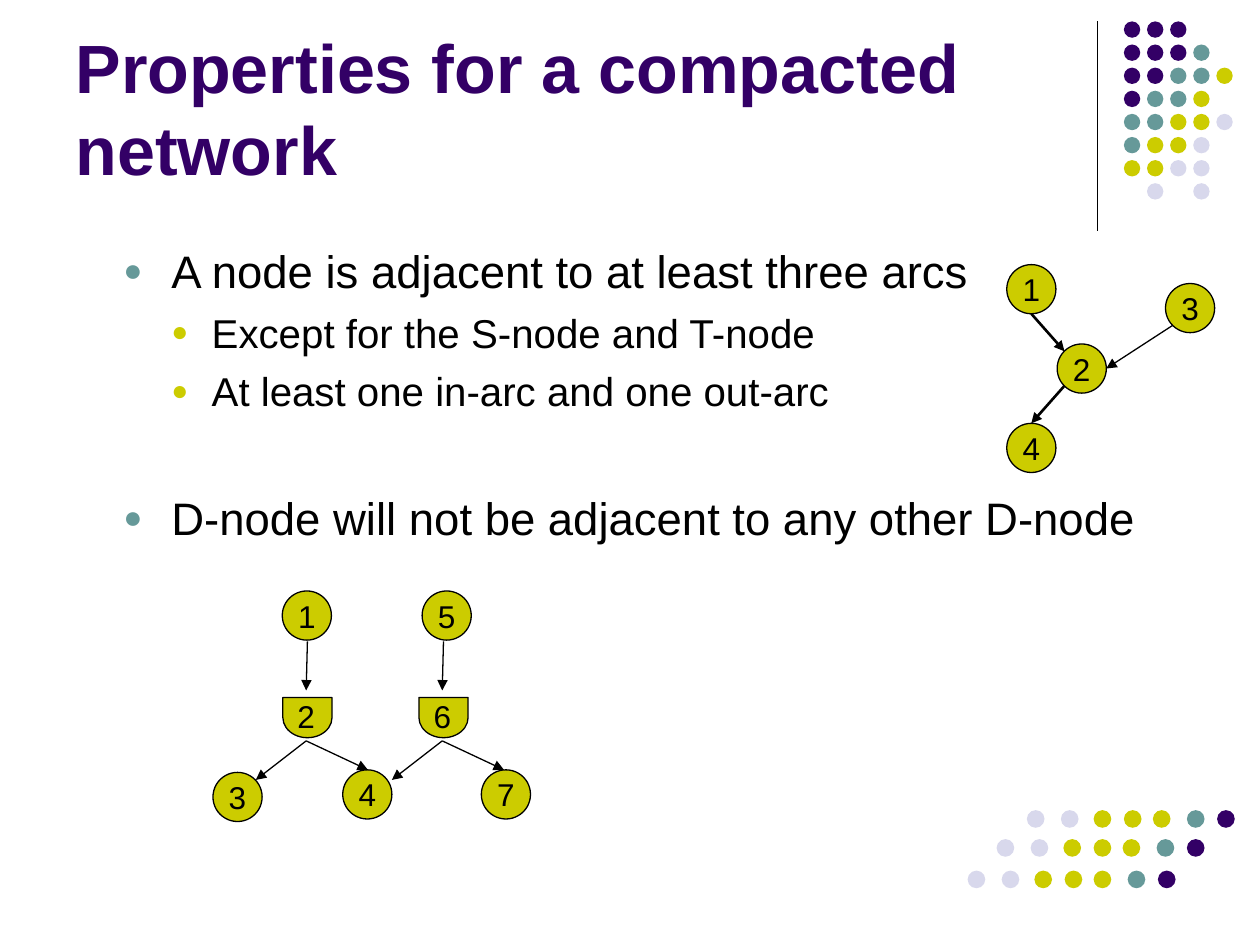
from dataclasses import dataclass

from lxml import etree
from pptx import Presentation
from pptx import util as u
from pptx.dml.color import RGBColor
from pptx.enum import shapes, text
from pptx.oxml import ns

Inches, Pt = u.Inches, u.Pt


@dataclass(frozen=True)
class Theme:
    font: str = "Arial"
    ink: str = "000000"
    purple: str = "330066"
    teal: str = "669999"
    olive: str = "CCCC00"
    pale: str = "D8D8EC"
    title: float = 39
    point: float = 26
    subpoint: float = 23
    label: float = 18
    thin: float = 0.75
    thick: float = 1.5


THEME = Theme()
DOT_COLORS = {"P": THEME.purple, "T": THEME.teal, "O": THEME.olive, "L": THEME.pale}
CORNER_DOTS = ["PPP", "PPPT", "PPTTO", "PTTO", "TTOOL", "TOOL", "OOLL", " L L"]
BAND_DOTS = "LLOOOTP"
BAND_COLUMNS = [0, 0.27, 0.53, 0.77, 1, 1.27, 1.51]
BAND_ROWS = [(0.47, 0), (0.23, 0.23), (0, 0.48)]
NODE = 0.39


def rgb(code):
    return RGBColor.from_string(code)


def add_run(paragraph, words, size, color=THEME.ink, bold=False):
    run = paragraph.add_run()
    run.text = words
    run.font.name, run.font.size, run.font.bold = THEME.font, Pt(size), bold
    run.font.color.rgb = rgb(color)


def place(holder, box):
    holder.left, holder.top, holder.width, holder.height = map(Inches, box)


def add_solid(parent, preset, box, fill, outlined=False):
    solid = parent.add_shape(preset, *map(Inches, box))
    solid.shadow.inherit = False
    solid.fill.solid()
    solid.fill.fore_color.rgb = rgb(fill)
    if outlined:
        solid.line.color.rgb = rgb(THEME.ink)
        solid.line.width = Pt(THEME.thin)
    else:
        solid.line.fill.background()
    return solid


def add_line(parent, start, end, width=THEME.thin, arrow=False):
    line = parent.add_connector(shapes.MSO_CONNECTOR.STRAIGHT,
                                *map(Inches, (*start, *end)))
    line.line.color.rgb = rgb(THEME.ink)
    line.line.width = Pt(width)
    if arrow:
        etree.SubElement(line.line._get_or_add_ln(), ns.qn("a:tailEnd"), type="triangle")
    etree.SubElement(line._element.spPr, ns.qn("a:effectLst"))


def add_dot(parent, x, y, size, key):
    add_solid(parent, shapes.MSO_SHAPE.OVAL, (x, y, size, size), DOT_COLORS[key])


def corner_dots(slide, left, top, pitch=0.1835, size=0.13):
    group = slide.shapes.add_group_shape().shapes
    for row, keys in enumerate(CORNER_DOTS):
        for column, key in enumerate(keys):
            if key != " ":
                add_dot(group, left + column * pitch, top + row * pitch, size, key)


def slanted_dots(slide, left, top, size=0.14):
    group = slide.shapes.add_group_shape().shapes
    for shift, drop in BAND_ROWS:
        for offset, key in zip(BAND_COLUMNS, BAND_DOTS):
            add_dot(group, left + shift + offset, top + drop, size, key)


def heading(slide, box):
    title = slide.shapes.title
    place(title, box)
    frame = title.text_frame
    frame.word_wrap, frame.auto_size = True, text.MSO_AUTO_SIZE.NONE
    frame.vertical_anchor = text.MSO_ANCHOR.BOTTOM
    line = frame.paragraphs[0]
    line.alignment = text.PP_ALIGN.LEFT
    add_run(line, "Properties for a compacted network", THEME.title, THEME.purple, True)


def add_bullet(paragraph, color, margin, hang):
    props = paragraph._p.get_or_add_pPr()
    props.set("marL", str(Inches(margin)))
    props.set("indent", str(-Inches(hang)))
    tint = etree.SubElement(props, ns.qn("a:buClr"))
    etree.SubElement(tint, ns.qn("a:srgbClr"), val=color)
    etree.SubElement(props, ns.qn("a:buSzPct"), val="70000")
    etree.SubElement(props, ns.qn("a:buFont"), typeface=THEME.font)
    etree.SubElement(props, ns.qn("a:buChar"), char="●")


def properties(slide, box):
    body = slide.placeholders[1]
    place(body, box)
    frame = body.text_frame
    frame.word_wrap, frame.auto_size = True, text.MSO_AUTO_SIZE.NONE
    items = [(0, 0, "A node is adjacent to at least three arcs"),
             (1, 5.8, "Except for the S-node and T-node"),
             (1, 5.8, "At least one in-arc and one out-arc"),
             (0, 43, "D-node will not be adjacent to any other D-node")]
    styles = [(THEME.point, THEME.teal, 0.76, 0.38),
              (THEME.subpoint, THEME.olive, 1.08, 0.32)]
    for index, (level, gap, words) in enumerate(items):
        paragraph = frame.add_paragraph() if index else frame.paragraphs[0]
        size, color, margin, hang = styles[level]
        paragraph.level = level
        paragraph.space_before = Pt(gap)
        add_bullet(paragraph, color, margin, hang)
        add_run(paragraph, words, size)


def add_label(holder, words):
    frame = holder.text_frame
    frame.word_wrap = False
    frame.vertical_anchor = text.MSO_ANCHOR.MIDDLE
    frame.paragraphs[0].alignment = text.PP_ALIGN.CENTER
    add_run(frame.paragraphs[0], words, THEME.label)


def add_node(parent, x, y, name):
    node = add_solid(parent, shapes.MSO_SHAPE.OVAL, (x, y, NODE, NODE), THEME.olive, True)
    add_label(node, name)


def rim(corner, across, down):
    """Point on a node's rim; (0, 0) is its centre and 1 its radius."""
    return tuple(c + NODE / 2 * (1 + d) for c, d in zip(corner, (across, down)))


def three_arc_network(slide, left, top):
    group = slide.shapes.add_group_shape().shapes
    offsets = {"1": (0, 0), "3": (1.26, 0.15), "2": (0.4, 0.63), "4": (0, 1.26)}
    nodes = {name: (left + x, top + y) for name, (x, y) in offsets.items()}
    for name, corner in nodes.items():
        add_node(group, *corner, name)
    arcs = [("1", (0, 1), "2", (-0.7, -0.7), THEME.thick),
            ("2", (-0.7, 0.7), "4", (0, -1), THEME.thick),
            ("3", (-0.7, 0.7), "2", (1, 0), THEME.thin)]
    for source, leave, target, enter, width in arcs:
        add_line(group, rim(nodes[source], *leave), rim(nodes[target], *enter), width, True)


def add_d_node(parent, x, y, name):
    """Half-round node with one in-arc and two out-arcs; (x, y) is its top centre."""
    gate = add_solid(parent, shapes.MSO_SHAPE.FLOWCHART_DELAY,
                     (x - 0.15, y + 0.02, 0.32, NODE), THEME.olive, True)
    gate.rotation = 90
    label = parent.add_textbox(*map(Inches, (x - 0.17, y, 0.34, 0.4)))
    add_label(label, name)
    arcs = [((0.01, -0.39), (0, 0)), ((0, 0.4), (-0.4, 0.71)), ((0, 0.4), (0.49, 0.63))]
    for start, end in arcs:
        add_line(parent, (x + start[0], y + start[1]), (x + end[0], y + end[1]), arrow=True)


def d_node_network(slide, left, top):
    group = slide.shapes.add_group_shape().shapes
    for x, name in [(0.74, "2"), (1.82, "6")]:
        add_d_node(group, left + x, top + 0.79, name)
    for x, y, name in [(0.55, 0, "1"), (1.66, 0, "5"), (0, 1.44, "3"),
                       (1.03, 1.42, "4"), (2.13, 1.42, "7")]:
        add_node(group, left + x, top + y, name)


def main():
    deck = Presentation()
    deck.slide_width, deck.slide_height = Inches(10), Inches(7.5)
    slide = deck.slides.add_slide(deck.slide_layouts[1])
    add_line(slide.shapes, (8.71, 0.17), (8.71, 1.83))
    corner_dots(slide, 8.92, 0.17)
    heading(slide, (0.5, 0.13, 8.25, 1.42))
    properties(slide, (0.5, 1.88, 9, 3.37))
    three_arc_network(slide, 7.99, 2.1)
    d_node_network(slide, 1.69, 4.69)
    slanted_dots(slide, 7.68, 6.43)
    deck.save("out.pptx")


if __name__ == "__main__":
    main()
